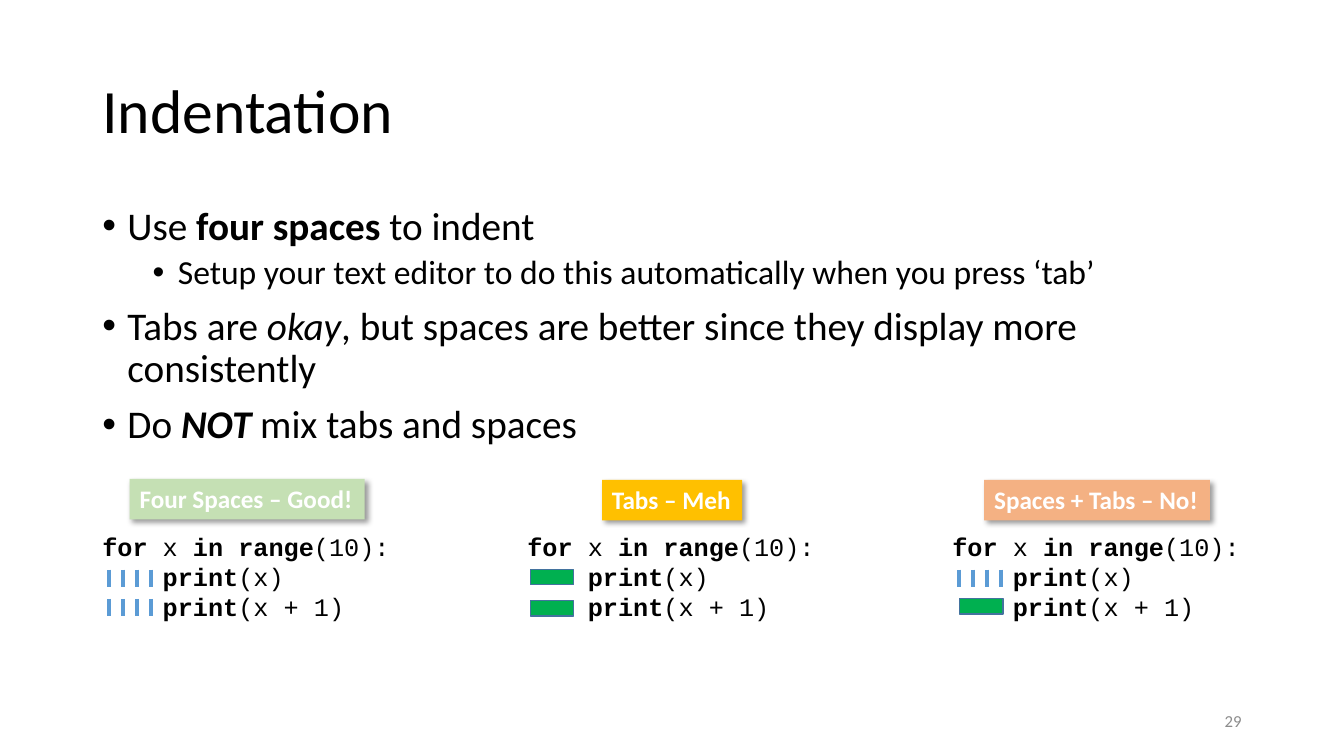
"""Build the Indentation slide, comparing spaces and tabs in Python code."""
from lxml.etree import SubElement
from pptx import Presentation
from pptx.dml.color import RGBColor
from pptx.enum.shapes import MSO_CONNECTOR as Connector, MSO_SHAPE as Shape
from pptx.enum.text import MSO_ANCHOR as Anchor, MSO_AUTO_SIZE as AutoSize, PP_ALIGN as Align
from pptx.oxml.ns import qn
from pptx.util import Pt

BLACK = RGBColor(0x00, 0x00, 0x00)
WHITE = RGBColor(0xFF, 0xFF, 0xFF)
GRAY = RGBColor(0x8C, 0x8C, 0x8C)
BLUE = RGBColor(0x5B, 0x9B, 0xD5)
NAVY = RGBColor(0x43, 0x73, 0x9E)
GREEN = RGBColor(0x00, 0xB0, 0x50)
PALE_GREEN = RGBColor(0xC5, 0xE0, 0xB4)
AMBER = RGBColor(0xFF, 0xC0, 0x00)
ORANGE = RGBColor(0xF4, 0xB1, 0x83)

MARGIN, CONTENT_WIDTH = 66, 828
COLUMN_STEP, CODE_WIDTH = 303.6, 221
CODE_TOP, CODE_HEIGHT = 375.8, 72.7
LABEL_HEIGHT = 29
TICK_STEP, TICK_HEIGHT = 9.9, 12.2
TAB_WIDTH, TAB_HEIGHT = 31, 10.8
CODE_INDENT = 43.2

BULLETS = [
    (0, [("Use ", ""), ("four spaces", "b"), (" to indent", "")]),
    (1, [("Setup your text editor to do this automatically when you press ‘tab’", "")]),
    (0, [("Tabs are ", ""), ("okay", "i"),
         (", but spaces are better since they display more consistently", "")]),
    (0, [("Do ", ""), ("NOT", "bi"), (" mix tabs and spaces", "")]),
]
CODE = [
    (0, [("for", "b"), (" x ", ""), ("in range", "b"), ("(10):", "")]),
    (CODE_INDENT, [("print", "b"), ("(x)", "")]),
    (CODE_INDENT, [("print", "b"), ("(x + 1)", "")]),
]
EXAMPLES = [
    ("Four Spaces – Good!", PALE_GREEN, 342, 167.8, [("spaces", 12, 406.8), ("spaces", 12, 427.7)]),
    ("Tabs – Meh", AMBER, 342.7, 100.1, [("tab", 9.2, 406.8), ("tab", 9.2, 429.1)]),
    ("Spaces + Tabs – No!", ORANGE, 342.7, 161.3, [("spaces", 12, 406.8), ("tab", 12.2, 427.7)]),
]


class SlideBuilder:
    """Draw styled elements on one slide, with lengths in points."""

    def __init__(self, slide, body_font="Calibri", code_font="Courier New"):
        self.slide = slide
        self.body_font = body_font
        self.code_font = code_font

    def style(self, paragraph, size, color=BLACK, name=None):
        font = paragraph.font
        font.name, font.size = name or self.body_font, Pt(size)
        font.color.rgb = color
        return font

    def add_runs(self, paragraph, runs):
        for text, emphasis in runs:
            run = paragraph.add_run()
            run.text = text
            if "b" in emphasis:
                run.font.bold = True
            if "i" in emphasis:
                run.font.italic = True

    def text_frame(self, left, top, width, height, wrap=True):
        box = self.slide.shapes.add_textbox(Pt(left), Pt(top), Pt(width), Pt(height))
        box.text_frame.word_wrap = wrap
        return box.text_frame

    def paragraphs(self, frame, count):
        return [frame.paragraphs[0]] + [frame.add_paragraph() for _ in range(count - 1)]

    def title(self, text, left, top, width, height):
        title = self.slide.shapes.title
        title.left, title.top, title.width, title.height = map(Pt, (left, top, width, height))
        frame = title.text_frame
        frame.text = text
        frame.auto_size, frame.vertical_anchor = AutoSize.NONE, Anchor.MIDDLE
        heading = frame.paragraphs[0]
        heading.alignment, heading.line_spacing = Align.LEFT, 0.9
        self.style(heading, 44)

    def bullets(self, items, left, top, width, height):
        frame = self.text_frame(left, top, width, height)
        for paragraph, (level, runs) in zip(self.paragraphs(frame, len(items)), items):
            paragraph.level = level
            paragraph.line_spacing = 0.9
            paragraph.space_before = Pt(5 if level else 10)
            properties = paragraph._p.get_or_add_pPr()
            properties.set("marL", str(Pt(18 + 36 * level)))
            properties.set("indent", str(Pt(-18)))
            SubElement(properties, qn("a:buFont"), typeface="Arial")
            SubElement(properties, qn("a:buChar"), char="•")
            self.style(paragraph, 24 if level else 28)
            self.add_runs(paragraph, runs)

    def code(self, lines, left, top, width, height):
        frame = self.text_frame(left, top, width, height, wrap=False)
        for paragraph, (indent, runs) in zip(self.paragraphs(frame, len(lines)), lines):
            paragraph._p.get_or_add_pPr().set("marL", str(Pt(indent)))
            self.style(paragraph, 18, name=self.code_font)
            self.add_runs(paragraph, runs)

    def rectangle(self, left, top, width, height, fill):
        rectangle = self.slide.shapes.add_shape(
            Shape.RECTANGLE, Pt(left), Pt(top), Pt(width), Pt(height))
        rectangle.shadow.inherit = False
        rectangle.fill.solid()
        rectangle.fill.fore_color.rgb = fill
        return rectangle

    def label(self, text, center, top, width, fill):
        label = self.rectangle(center - width / 2, top, width, LABEL_HEIGHT, fill)
        label.line.fill.background()
        effects = label._element.spPr.find(qn("a:effectLst"))
        shadow = SubElement(effects, qn("a:outerShdw"), blurRad=str(Pt(4)), dist=str(Pt(3)),
                            dir="2700000", algn="tl", rotWithShape="0")
        shade = SubElement(shadow, qn("a:srgbClr"), val=str(BLACK))
        SubElement(shade, qn("a:alpha"), val="40000")
        frame = label.text_frame
        frame.word_wrap, frame.vertical_anchor = False, Anchor.TOP
        caption = frame.paragraphs[0]
        caption.text, caption.alignment = text, Align.LEFT
        self.style(caption, 18, WHITE).bold = True

    def spaces(self, left, top):
        for index in range(4):
            x = Pt(left + index * TICK_STEP)
            tick = self.slide.shapes.add_connector(
                Connector.STRAIGHT, x, Pt(top), x, Pt(top + TICK_HEIGHT))
            tick.line.color.rgb, tick.line.width = BLUE, Pt(3)
            SubElement(tick._element.spPr, qn("a:effectLst"))

    def tab(self, left, top):
        tab = self.rectangle(left, top, TAB_WIDTH, TAB_HEIGHT, GREEN)
        tab.line.color.rgb, tab.line.width = NAVY, Pt(1)

    def page_number(self, text, left, top, width, height):
        frame = self.text_frame(left, top, width, height)
        frame.vertical_anchor = Anchor.MIDDLE
        number = frame.paragraphs[0]
        number.text, number.alignment = text, Align.RIGHT
        self.style(number, 12, GRAY)


def main():
    presentation = Presentation()
    presentation.slide_width, presentation.slide_height = Pt(960), Pt(540)
    builder = SlideBuilder(presentation.slides.add_slide(presentation.slide_layouts[5]))
    builder.title("Indentation", MARGIN, 28.8, CONTENT_WIDTH, 104.4)
    builder.bullets(BULLETS, MARGIN, 144, CONTENT_WIDTH, 185.8)
    markers = {"spaces": builder.spaces, "tab": builder.tab}
    for column, (caption, fill, label_top, label_width, indents) in enumerate(EXAMPLES):
        left = MARGIN + column * COLUMN_STEP
        builder.code(CODE, left, CODE_TOP, CODE_WIDTH, CODE_HEIGHT)
        for kind, offset, top in indents:
            markers[kind](left + offset, top)
        builder.label(caption, left + CODE_WIDTH / 2, label_top, label_width, fill)
    builder.page_number("29", 678, 500.4, 216, 28.8)
    presentation.save("out.pptx")


if __name__ == "__main__":
    main()
